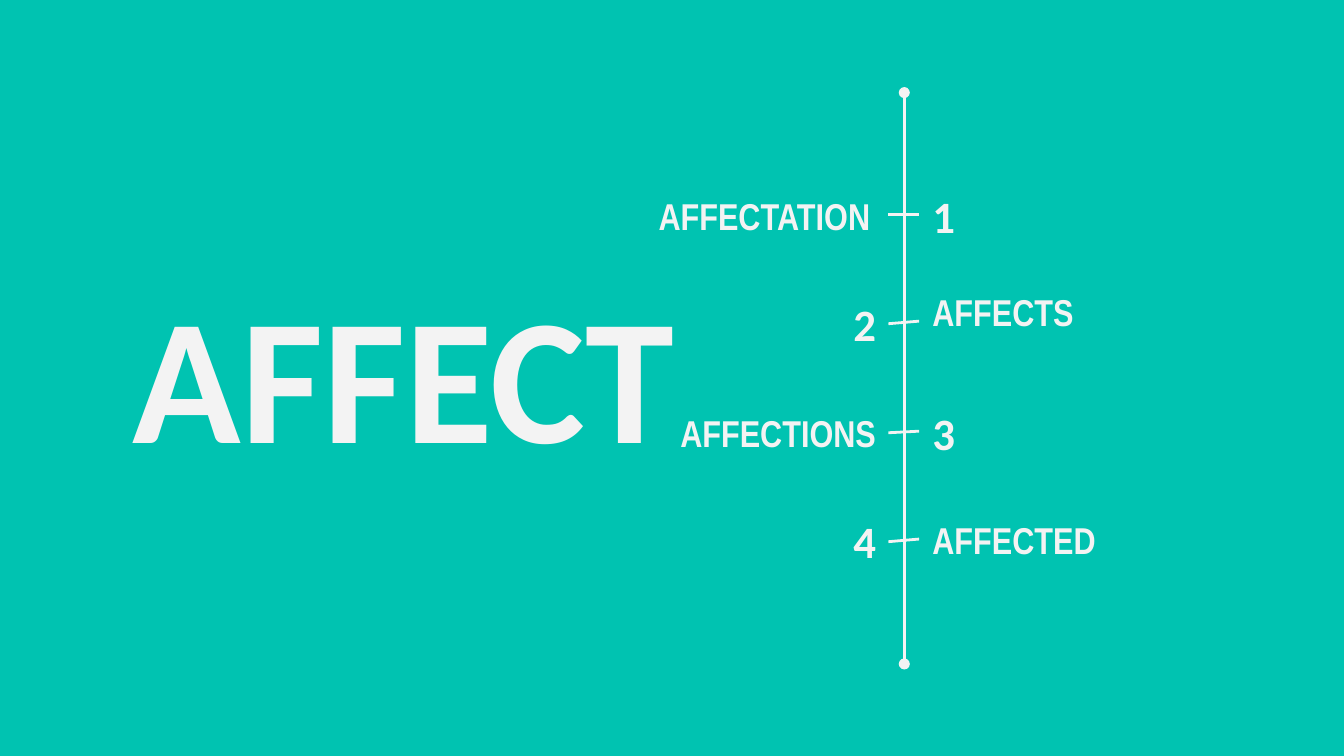
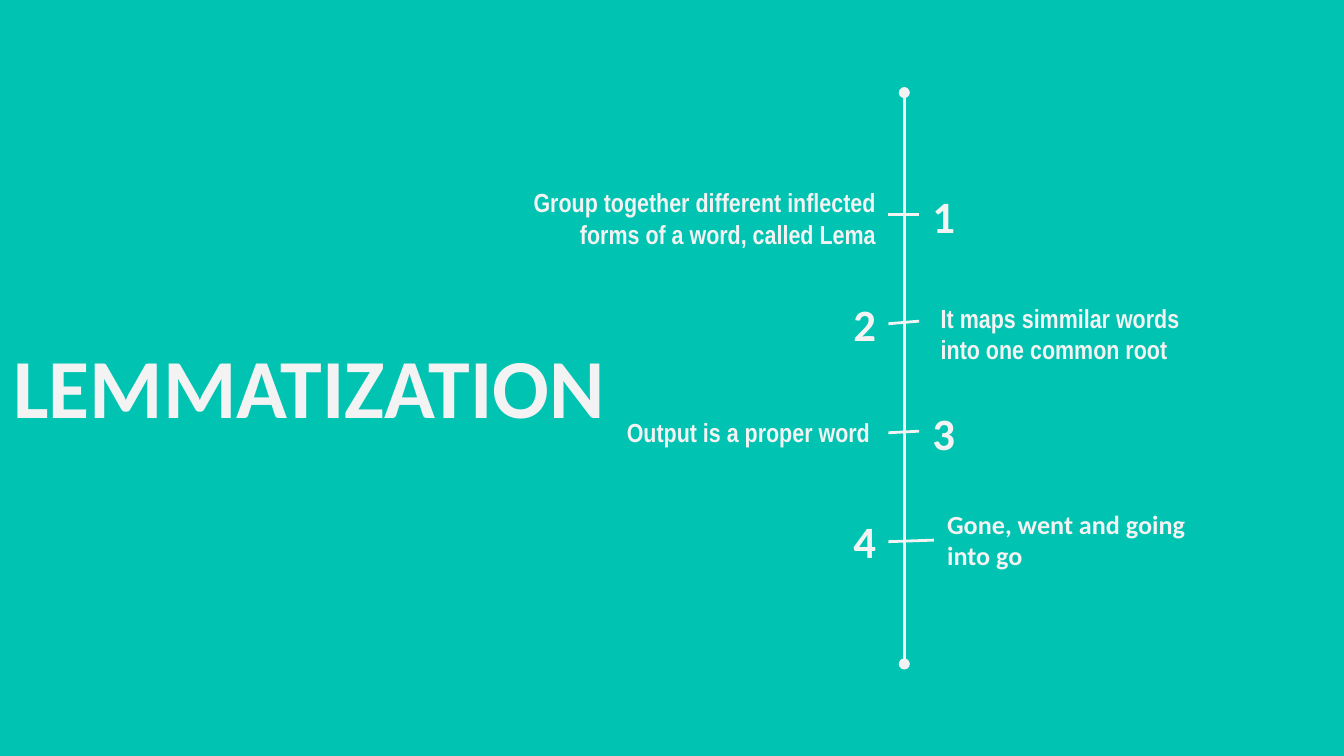
from dataclasses import dataclass

from lxml import etree
from pptx import Presentation
from pptx.dml.color import RGBColor
from pptx.enum.shapes import MSO_CONNECTOR
from pptx.enum.text import MSO_ANCHOR, MSO_AUTO_SIZE, PP_ALIGN
from pptx.oxml.ns import qn
from pptx.util import Cm, Pt

STRAIGHT = MSO_CONNECTOR.STRAIGHT
TOP, MIDDLE = MSO_ANCHOR.TOP, MSO_ANCHOR.MIDDLE
LEFT, CENTER, RIGHT = PP_ALIGN.LEFT, PP_ALIGN.CENTER, PP_ALIGN.RIGHT
NO_AUTOFIT = MSO_AUTO_SIZE.NONE

BACKGROUND = "00C3B1"
INK = "F3F3F3"
HEADING_FONT = "Calibri"
LABEL_FONT = "Arial Narrow"

TITLE_ONLY_LAYOUT = 5
INSET = 0.25
SPINE_X, SPINE_TOP, SPINE_BOTTOM = 17.09, 1.75, 12.55
TICK_LEFT, TICK_RIGHT = 16.79, 17.37
FIRST_TICK, TICK_STEP = 4.06, 2.06
FIRST_ROW, ROW_STEP = 3.2, 2.05
LEFT_COLUMN, RIGHT_COLUMN = 11.07, 17.37
COLUMN_WIDTH, ROW_HEIGHT = 5.74, 1.75


@dataclass(frozen=True)
class Box:
    left: float
    top: float
    width: float = COLUMN_WIDTH
    height: float = ROW_HEIGHT


@dataclass(frozen=True)
class TextStyle:
    size: float
    font: str = HEADING_FONT
    alignment: int = LEFT
    anchor: int = MIDDLE
    right_inset: float = INSET


@dataclass(frozen=True)
class Entry:
    """A label beside the timeline, with the tick that points to it."""
    text: str
    box: Box
    style: TextStyle
    tick_rise: float = 0
    tick_right: float = TICK_RIGHT


@dataclass(frozen=True)
class Timeline:
    title: str
    title_box: Box
    title_style: TextStyle
    entries: tuple


TIMELINES = (
    Timeline(
        "AFFECT", Box(2.01, 4.75, 11.25, 4.8), TextStyle(96, alignment=CENTER, anchor=TOP),
        (
            Entry("AFFECTATION", Box(LEFT_COLUMN, 3.2),
                  TextStyle(20, LABEL_FONT, RIGHT, right_inset=0.36)),
            Entry("AFFECTS", Box(RIGHT_COLUMN, 5.21),
                  TextStyle(20, LABEL_FONT, anchor=TOP), 0.05),
            Entry("AFFECTIONS", Box(LEFT_COLUMN, 7.3),
                  TextStyle(20, LABEL_FONT, RIGHT), 0.03),
            Entry("AFFECTED", Box(RIGHT_COLUMN, 9.32),
                  TextStyle(20, LABEL_FONT), 0.05),
        ),
    ),
    Timeline(
        "LEMMATIZATION", Box(0, 6.07, 13.08, 3.45), TextStyle(45, anchor=TOP),
        (
            Entry("Group together different inflected forms of a word, called Lema",
                  Box(9.19, 3.25, 7.62), TextStyle(14, LABEL_FONT, RIGHT)),
            Entry("It maps simmilar words into one common root",
                  Box(17.53, 5.46), TextStyle(14, LABEL_FONT, anchor=TOP), 0.05),
            Entry("Output is a proper word", Box(LEFT_COLUMN, 7.3),
                  TextStyle(14, LABEL_FONT, RIGHT, right_inset=0.36), 0.03),
            Entry("Gone, went and going into go", Box(17.65, 9.32),
                  TextStyle(14), 0.03, 17.65),
        ),
    ),
)


def rgb(value: str) -> RGBColor:
    return RGBColor.from_string(value)


def apply_format(target, values: dict) -> None:
    for name, value in values.items():
        setattr(target, name, value)


def write_text(shape, text: str, style: TextStyle) -> None:
    frame = shape.text_frame
    apply_format(frame, {
        "word_wrap": True,
        "auto_size": NO_AUTOFIT,
        "vertical_anchor": style.anchor,
        "margin_left": Cm(INSET),
        "margin_right": Cm(style.right_inset),
        "margin_top": Cm(INSET),
        "margin_bottom": Cm(INSET),
    })
    paragraph = frame.paragraphs[0]
    paragraph.alignment = style.alignment
    run = paragraph.add_run()
    run.text = text
    apply_format(run.font, {"name": style.font, "size": Pt(style.size), "bold": True})
    run.font.color.rgb = rgb(INK)


def add_text(slide, text: str, box: Box, style: TextStyle) -> None:
    shape = slide.shapes.add_textbox(
        Cm(box.left), Cm(box.top), Cm(box.width), Cm(box.height))
    write_text(shape, text, style)


def add_line(slide, start: tuple, end: tuple, round_ends: bool = False) -> None:
    connector = slide.shapes.add_connector(
        STRAIGHT, *(Cm(length) for length in start + end))
    connector.line.color.rgb = rgb(INK)
    connector.line.width = Pt(1.5)
    properties = connector._element.spPr
    if round_ends:
        outline = properties.find(qn("a:ln"))
        for tag in ("a:headEnd", "a:tailEnd"):
            etree.SubElement(outline, qn(tag), type="oval")
    etree.SubElement(properties, qn("a:effectLst"))


def add_title(slide, timeline: Timeline) -> None:
    title, box = slide.shapes.title, timeline.title_box
    apply_format(title, {
        "left": Cm(box.left), "top": Cm(box.top),
        "width": Cm(box.width), "height": Cm(box.height),
    })
    write_text(title, timeline.title, timeline.title_style)


def add_entry(slide, index: int, entry: Entry) -> None:
    """Draw the tick, the label and the number on the label's opposite side."""
    tick_y = FIRST_TICK + index * TICK_STEP
    add_line(slide, (TICK_LEFT, tick_y), (entry.tick_right, tick_y - entry.tick_rise))
    add_text(slide, entry.text, entry.box, entry.style)
    label_on_left = index % 2 == 0
    number_left = RIGHT_COLUMN if label_on_left else LEFT_COLUMN
    number_alignment = LEFT if label_on_left else RIGHT
    add_text(slide, str(index + 1), Box(number_left, FIRST_ROW + index * ROW_STEP),
             TextStyle(24, alignment=number_alignment))


def add_timeline(presentation, timeline: Timeline) -> None:
    slide = presentation.slides.add_slide(presentation.slide_layouts[TITLE_ONLY_LAYOUT])
    add_title(slide, timeline)
    add_line(slide, (SPINE_X, SPINE_TOP), (SPINE_X, SPINE_BOTTOM), round_ends=True)
    for index, entry in enumerate(timeline.entries):
        add_entry(slide, index, entry)


def main() -> None:
    presentation = Presentation()
    presentation.slide_width = Cm(25.4)
    presentation.slide_height = Cm(14.29)
    fill = presentation.slide_master.background.fill
    fill.solid()
    fill.fore_color.rgb = rgb(BACKGROUND)
    for timeline in TIMELINES:
        add_timeline(presentation, timeline)
    presentation.save("out.pptx")


if __name__ == "__main__":
    main()
